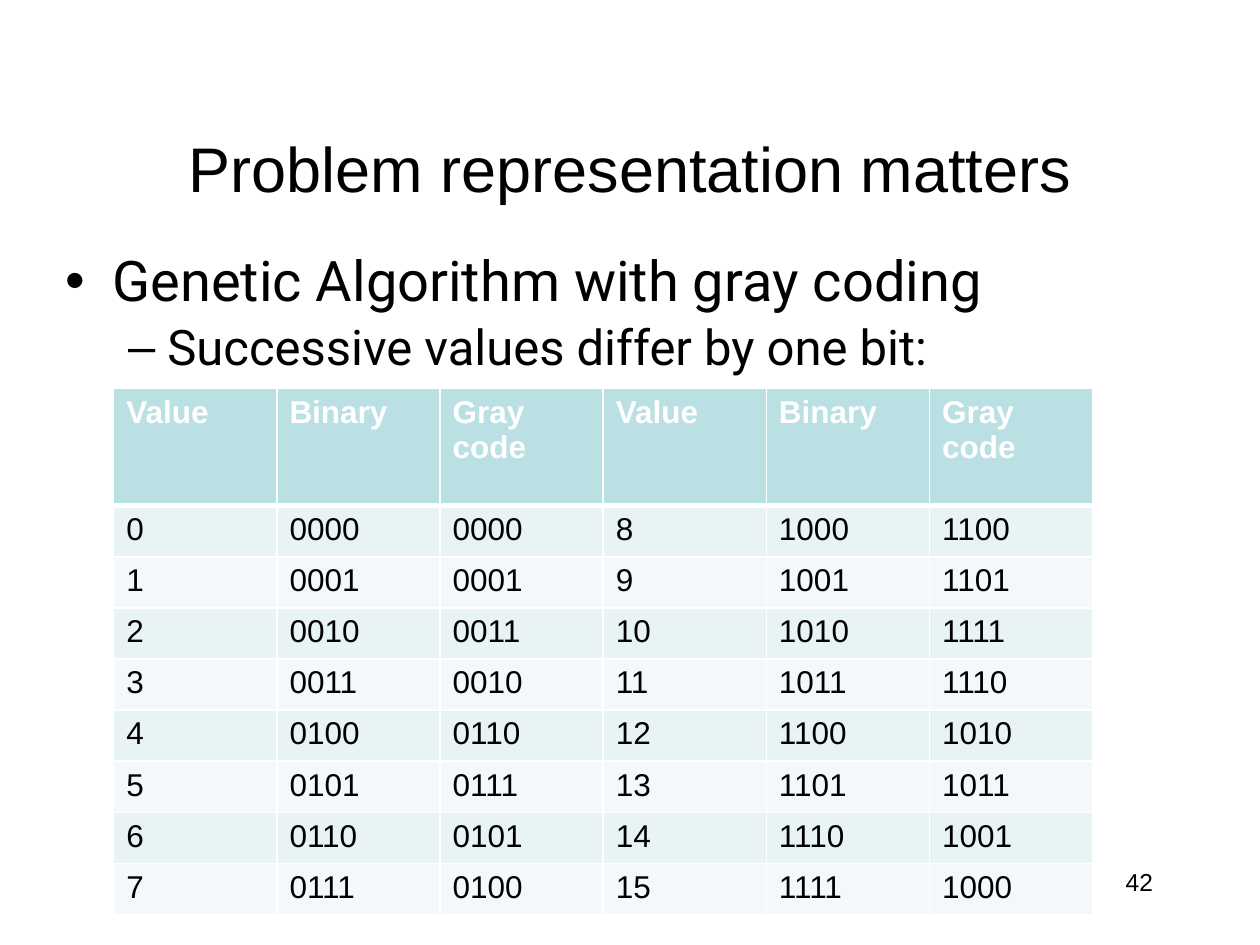
"""Build a slide that compares binary and Gray coding of the values 0 to 15."""
from lxml.etree import SubElement
from pptx import Presentation
from pptx.dml.color import RGBColor
from pptx.enum.text import MSO_ANCHOR as Anchor, MSO_AUTO_SIZE as AutoSize, PP_ALIGN as Align
from pptx.oxml.ns import qn
from pptx.util import Pt

TITLE = "Problem representation matters"
BULLETS = [
    ("Genetic Algorithm with gray coding", 0, 32),
    ("Successive values differ by one bit:", 1, 28),
]
PAGE_NUMBER = "42"
HEADINGS = ["Value", "Binary", "Gray code"]
ROW_COUNT = 8
HALVES = 2

BLACK = RGBColor(0x00, 0x00, 0x00)
WHITE = RGBColor(0xFF, 0xFF, 0xFF)
HEADER_FILL = RGBColor(0xBB, 0xE0, 0xE3)
BAND_FILLS = [RGBColor(0xE7, 0xF3, 0xF4), RGBColor(0xF3, 0xF9, 0xFA)]

COLUMN_WIDTH = 93.24
HEADER_HEIGHT = 67
ROW_HEIGHT = 29.2


def write(para, text, size, font="Arial", color=BLACK, bold=False, align=None):
    span = para.add_run()
    span.text = text
    span.font.size = Pt(size)
    span.font.name = font
    span.font.color.rgb = color
    span.font.bold = bold
    para.alignment = align


def place(box, left, top, width, height):
    box.left, box.top, box.width, box.height = Pt(left), Pt(top), Pt(width), Pt(height)
    box.text_frame.word_wrap = True
    box.text_frame.auto_size = AutoSize.NONE
    box.text_frame.vertical_anchor = Anchor.TOP


def add_borders(cell, top, bottom):
    properties = cell._tc.get_or_add_tcPr()
    for side, width in (("L", 1), ("R", 1), ("T", top), ("B", bottom)):
        line = SubElement(properties, qn(f"a:ln{side}"), w=str(Pt(width)))
        fill = SubElement(line, qn("a:solidFill"))
        SubElement(fill, qn("a:srgbClr"), val=str(WHITE))


def code_row(row):
    values = [row + half * ROW_COUNT for half in range(HALVES)]
    return [text for value in values
            for text in (str(value), f"{value:04b}", f"{value ^ (value >> 1):04b}")]


deck = Presentation()
deck.slide_width, deck.slide_height = Pt(720), Pt(540)
page = deck.slides.add_slide(deck.slide_layouts[1])

title = page.shapes.title
place(title, 36, 66, 648, 76)
title.text_frame.margin_top = Pt(8)
write(title.text_frame.paragraphs[0], TITLE, 36, align=Align.CENTER)

body = page.placeholders[1]
place(body, 30, 141, 660, 363)
for index, (text, level, size) in enumerate(BULLETS):
    frame = body.text_frame
    para = frame.add_paragraph() if index else frame.paragraphs[0]
    para.level = level
    para.line_spacing = 0.9
    para.space_before = Pt(size * 0.2)
    write(para, text, size, font="Roboto")

number = page.shapes.add_textbox(0, 0, 0, 0)
place(number, 516, 492, 150, 36)
write(number.text_frame.paragraphs[0], PAGE_NUMBER, 14, align=Align.RIGHT)

rows = [HEADINGS * HALVES] + [code_row(row) for row in range(ROW_COUNT)]
columns = len(rows[0])
table = page.shapes.add_table(
    len(rows), columns, Pt(65), Pt(222),
    Pt(COLUMN_WIDTH * columns), Pt(HEADER_HEIGHT + ROW_HEIGHT * ROW_COUNT)).table
for column in table.columns:
    column.width = Pt(COLUMN_WIDTH)
for row, texts in enumerate(rows):
    header = row == 0
    table.rows[row].height = Pt(HEADER_HEIGHT if header else ROW_HEIGHT)
    for column, text in enumerate(texts):
        cell = table.cell(row, column)
        add_borders(cell, top=3 if row == 1 else 1, bottom=3 if header else 1)
        cell.fill.solid()
        cell.fill.fore_color.rgb = HEADER_FILL if header else BAND_FILLS[(row - 1) % 2]
        write(cell.text_frame.paragraphs[0], text, 18,
              color=WHITE if header else BLACK, bold=header)

deck.save("out.pptx")
